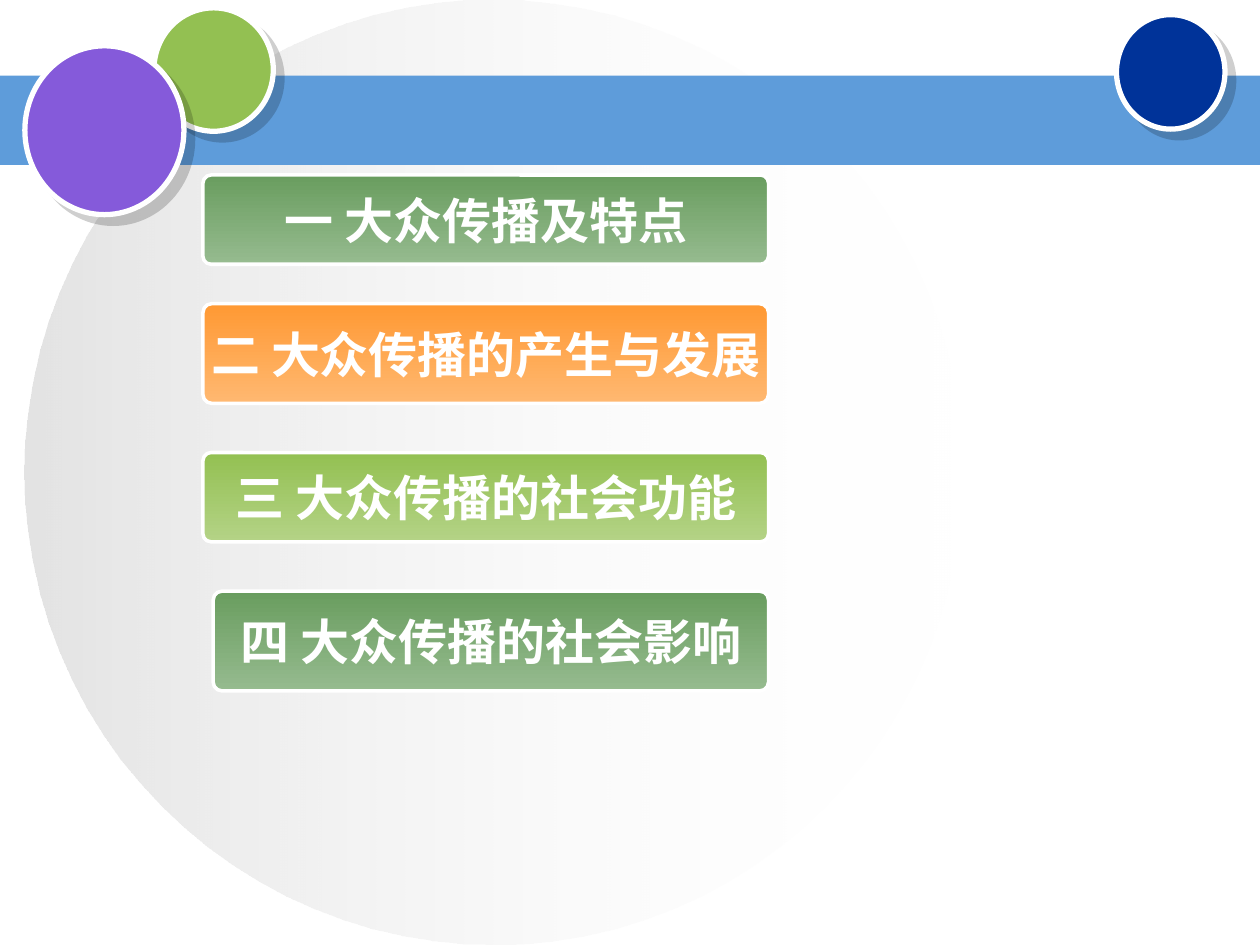
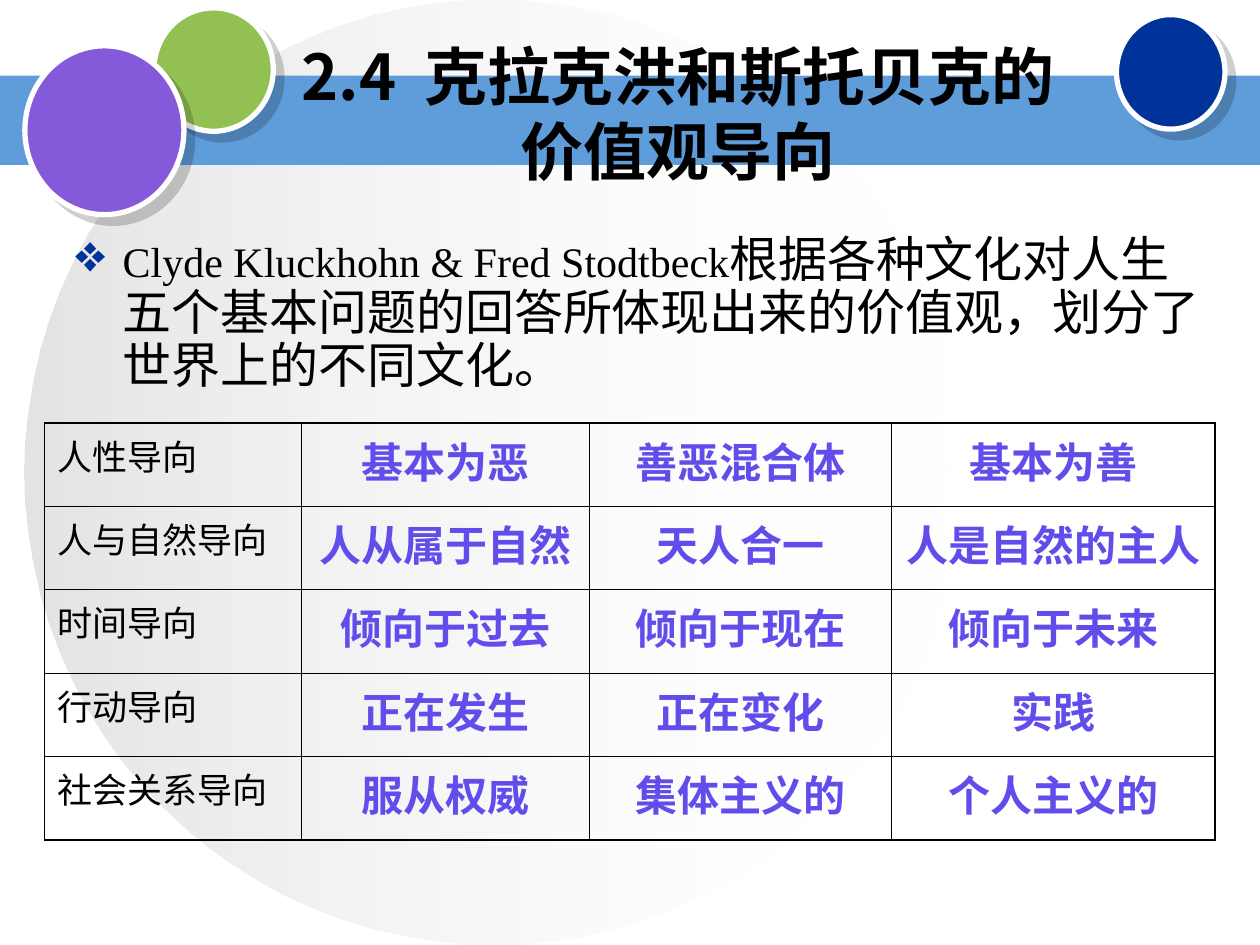
from lxml.etree import SubElement
from pptx import Presentation
from pptx.dml.color import RGBColor
from pptx.enum.shapes import MSO_SHAPE
from pptx.enum.text import MSO_ANCHOR, PP_ALIGN
from pptx.oxml.ns import qn
from pptx.util import Pt

WHITE = RGBColor(0xFF, 0xFF, 0xFF)
BLACK = RGBColor(0x00, 0x00, 0x00)
SILVER = RGBColor(0xC0, 0xC0, 0xC0)
BAND_BLUE = RGBColor(0x5E, 0x9C, 0xDA)
NAVY = RGBColor(0x00, 0x33, 0x99)
PURPLE = RGBColor(0x85, 0x5A, 0xDA)
VIOLET = RGBColor(0x60, 0x4D, 0xEB)
LIME = RGBColor(0x93, 0xC0, 0x52)
PALE_LIME = RGBColor(0xB4, 0xD3, 0x86)
GREEN = RGBColor(0x69, 0x9D, 0x5F)
PALE_GREEN = RGBColor(0x96, 0xBB, 0x8F)
ORANGE = RGBColor(0xFF, 0x99, 0x33)
PALE_ORANGE = RGBColor(0xFF, 0xB8, 0x71)

CJK = "Noto Sans CJK SC"
THIN, THICK = 0.45, 1.08

TOPICS = [
    # text, left, top, height, upper colour, lower colour
    ("一 大众传播及特点", 116, 100, 51, GREEN, PALE_GREEN),
    ("二 大众传播的产生与发展", 116, 173.5, 57, ORANGE, PALE_ORANGE),
    ("三 大众传播的社会功能", 116, 258.6, 51, LIME, PALE_LIME),
    ("四 大众传播的社会影响", 121.8, 337.8, 57, GREEN, PALE_GREEN),
]
TOPICS_RIGHT = 439.2

ORIENTATIONS = [
    ("人性导向", "基本为恶", "善恶混合体", "基本为善"),
    ("人与自然导向", "人从属于自然", "天人合一", "人是自然的主人"),
    ("时间导向", "倾向于过去", "倾向于现在", "倾向于未来"),
    ("行动导向", "正在发生", "正在变化", "实践"),
    ("社会关系导向", "服从权威", "集体主义的", "个人主义的"),
]
COLUMN_WIDTHS = [146.9, 164.6, 172.6, 185]
ROW_HEIGHT = 47.65


class Deck:
    """Holds the presentation, its shared look and the slide being filled."""

    def __init__(self):
        self.presentation = Presentation()
        self.presentation.slide_width = Pt(720)
        self.presentation.slide_height = Pt(540)
        self.slide = None

    def new_slide(self):
        """Start a slide with the backdrop, band and discs that all slides share."""
        self.slide = self.presentation.slides.add_slide(self.presentation.slide_layouts[6])
        backdrop = self.shape(MSO_SHAPE.OVAL, 14.2, 0, 535.7, 540)
        self.gradient(backdrop, SILVER, WHITE, 0)
        for colour, opacity in zip(backdrop._element.spPr.iter(qn("a:srgbClr")), (44, 0)):
            self.opacity(colour, opacity)
        self.solid(self.shape(MSO_SHAPE.RECTANGLE, 0, 43.2, 720, 51.1), BAND_BLUE)
        self.disc(88, 4.5, 68.2, 70.5, LIME)
        self.disc(638, 8.4, 62, 65.4, NAVY)
        self.disc(14.2, 26.2, 90.9, 96.5, PURPLE)

    def shape(self, preset, left, top, width, height):
        shape = self.slide.shapes.add_shape(preset, Pt(left), Pt(top), Pt(width), Pt(height))
        shape.shadow.inherit = False
        shape.line.fill.background()
        return shape

    def solid(self, shape, colour):
        shape.fill.solid()
        shape.fill.fore_color.rgb = colour

    def gradient(self, shape, start, end, angle):
        shape.fill.gradient()
        shape.fill.gradient_angle = angle
        for stop, colour in zip(shape.fill.gradient_stops, (start, end)):
            stop.color.rgb = colour

    def outline(self, shape, weight):
        shape.line.color.rgb = WHITE
        shape.line.width = Pt(weight)

    def opacity(self, colour, percent):
        SubElement(colour, qn("a:alpha"), val=str(percent * 1000))

    def disc(self, left, top, width, height, colour):
        """Draw a white-rimmed disc with a shadow to its lower right."""
        disc = self.shape(MSO_SHAPE.OVAL, left, top, width, height)
        self.solid(disc, colour)
        self.outline(disc, 3)
        effects = disc._element.spPr.find(qn("a:effectLst"))
        shadow = SubElement(effects, qn("a:outerShdw"), blurRad="0", dist=str(Pt(7.1)),
                            dir="2700000", algn="ctr", rotWithShape="0")
        self.opacity(SubElement(shadow, qn("a:srgbClr"), val=str(BLACK)), 19)

    def run(self, paragraph, text, size, colour=BLACK, bold=False, font=CJK):
        """Append a run and return its properties element."""
        run = paragraph.add_run()
        run.text = text
        run.font.size = Pt(size)
        run.font.bold = bold
        run.font.color.rgb = colour
        run.font.name = font
        properties = run._r.get_or_add_rPr()
        SubElement(properties, qn("a:ea"), typeface=CJK)
        return properties

    def topic_bar(self, text, left, top, height, upper, lower):
        bar = self.shape(MSO_SHAPE.ROUNDED_RECTANGLE, left, top, TOPICS_RIGHT - left, height)
        bar.adjustments[0] = 0.09
        self.gradient(bar, upper, lower, 270)
        self.outline(bar, 2)
        frame = bar.text_frame
        frame.word_wrap = False
        frame.vertical_anchor = MSO_ANCHOR.MIDDLE
        frame.paragraphs[0].alignment = PP_ALIGN.CENTER
        self.run(frame.paragraphs[0], text, 28, WHITE, True, "Arial")

    def text_box(self, left, top, width, height):
        """Add a wrapping text box and return its frame and first paragraph."""
        box = self.slide.shapes.add_textbox(Pt(left), Pt(top), Pt(width), Pt(height))
        box.text_frame.word_wrap = True
        return box.text_frame, box.text_frame.paragraphs[0]

    def title(self, number, first_line, second_line):
        frame, paragraph = self.text_box(139, 31.7, 496.8, 65.5)
        frame.vertical_anchor = MSO_ANCHOR.MIDDLE
        paragraph.alignment = PP_ALIGN.CENTER
        self.run(paragraph, number, 36, bold=True)
        self.run(paragraph, " ", 36, bold=True).set("spc", "800")
        self.run(paragraph, first_line, 36, bold=True)
        paragraph.add_line_break()
        self.run(paragraph, second_line, 36, bold=True)

    def bullet(self, authors, statement):
        _, paragraph = self.text_box(36, 131, 658.8, 98)
        paragraph.line_spacing = 0.9
        properties = paragraph._p.get_or_add_pPr()
        properties.set("marL", str(Pt(27)))
        properties.set("indent", str(Pt(-27)))
        SubElement(SubElement(properties, qn("a:buClr")), qn("a:srgbClr"), val=str(NAVY))
        SubElement(properties, qn("a:buSzPct"), val="125000")
        SubElement(properties, qn("a:buChar"), char="❖")
        self.run(paragraph, authors, 24, font="Times New Roman")
        self.run(paragraph, statement, 28, font="Times New Roman")

    def border(self, cell, side, weight):
        line = SubElement(cell._tc.get_or_add_tcPr(), qn("a:ln" + side), w=str(Pt(weight)))
        SubElement(SubElement(line, qn("a:solidFill")), qn("a:srgbClr"), val=str(BLACK))

    def table(self, rows, widths, left, top):
        """Add an unfilled grid with a thicker frame; the first column holds row labels."""
        table = self.slide.shapes.add_table(
            len(rows), len(widths), Pt(left), Pt(top),
            Pt(sum(widths)), Pt(ROW_HEIGHT * len(rows))).table
        table.first_row = table.horz_banding = False
        for column, width in zip(table.columns, widths):
            column.width = Pt(width)
        for r, row in enumerate(rows):
            table.rows[r].height = Pt(ROW_HEIGHT)
            for c, text in enumerate(row):
                cell = table.cell(r, c)
                on_frame = {"L": c == 0, "R": c == len(widths) - 1,
                            "T": r == 0, "B": r == len(rows) - 1}
                for side, outer in on_frame.items():
                    self.border(cell, side, THICK if outer else THIN)
                cell.fill.background()
                paragraph = cell.text_frame.paragraphs[0]
                if c == 0:
                    self.run(paragraph, text, 20)
                else:
                    paragraph.alignment = PP_ALIGN.CENTER
                    self.run(paragraph, text, 24, VIOLET, True)


def main():
    deck = Deck()

    deck.new_slide()
    for topic in TOPICS:
        deck.topic_bar(*topic)

    deck.new_slide()
    deck.title("2.4", "克拉克洪和斯托贝克的", "价值观导向")
    deck.bullet("Clyde Kluckhohn & Fred Stodtbeck",
                "根据各种文化对人生五个基本问题的回答所体现出来的价值观，划分了世界上的不同文化。")
    deck.table(ORIENTATIONS, COLUMN_WIDTHS, 25.4, 241.8)

    deck.presentation.save("out.pptx")


if __name__ == "__main__":
    main()
